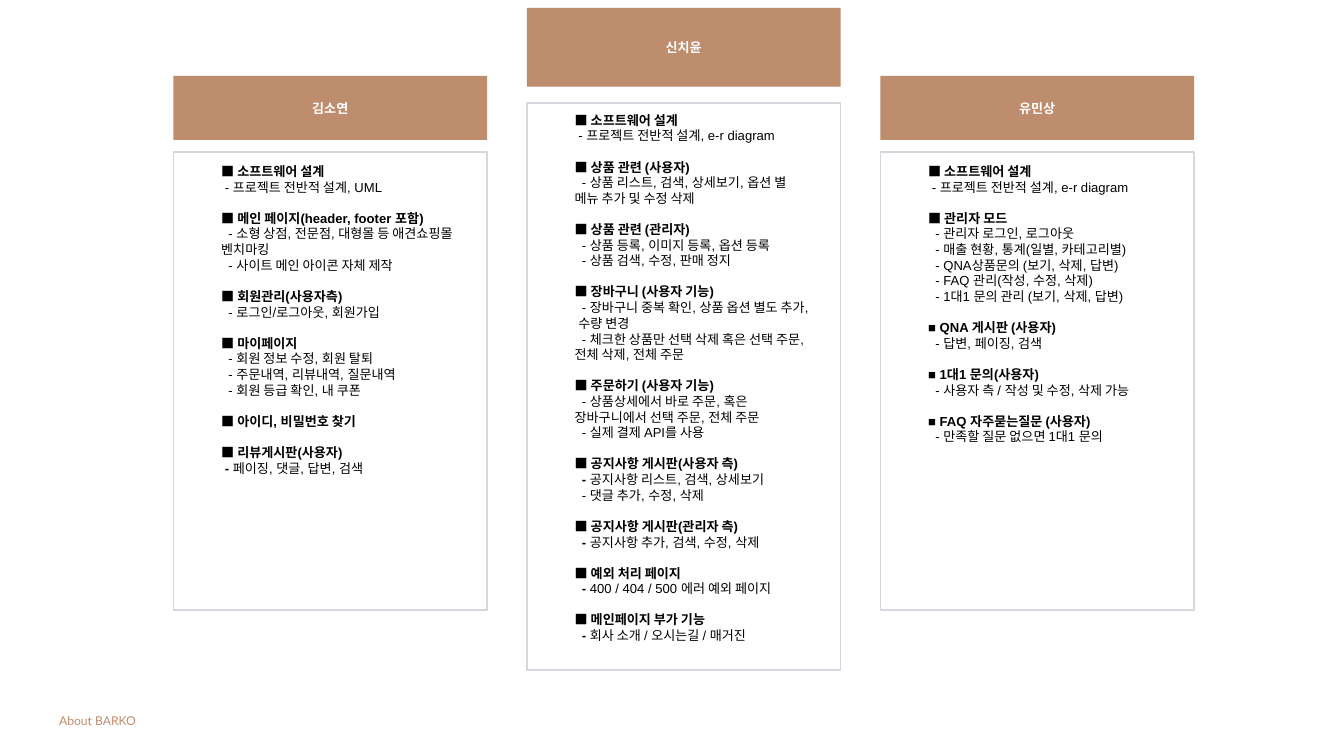
from dataclasses import dataclass

from lxml.etree import SubElement
from pptx import Presentation
from pptx.dml.color import RGBColor
from pptx.enum.shapes import MSO_SHAPE
from pptx.enum.text import MSO_ANCHOR, MSO_AUTO_SIZE, PP_ALIGN
from pptx.oxml.ns import qn
from pptx.util import Pt

BROWN = RGBColor(0xBE, 0x8D, 0x6E)
GREY = RGBColor(0xD6, 0xD7, 0xDE)
WHITE = RGBColor(0xFF, 0xFF, 0xFF)
BLACK = RGBColor(0, 0, 0)

# Column grid, in points
LEFT, STEP, WIDTH = 185.8, 378.7, 336.2
TEXT_INSET, TEXT_WIDTH = 44, 263.5
SECTION_GAP = 16.5
NARROW, WIDE = 3.9, 7.8  # first-line indents

NAME_FONT = {"name": "Calibri", "size": Pt(14), "bold": True}
LIST_FONT = {"name": "Arial", "size": Pt(14)}
LABEL_FONT = {"name": "Lato", "size": Pt(13), "bold": False}


@dataclass
class Section:
    heading: str
    items: tuple[str, ...] = ()
    indent: float = WIDE
    bold_dash: bool = False  # the first dash is as heavy as the heading


@dataclass
class Frame:
    name_top: float
    name_height: float
    box_top: float
    box_height: float
    text_top: float


@dataclass
class Member:
    name: str
    frame: Frame
    text_height: float
    sections: tuple[Section, ...]


SIDE = Frame(81.4, 68.4, 162.7, 491, 171.4)
CENTRE = Frame(8.6, 84.2, 110.2, 607.7, 116.6)

MEMBERS = (
    Member("김소연", SIDE, 346.3, (
        Section("소프트웨어 설계", ("프로젝트 전반적 설계, UML",), NARROW),
        Section("메인 페이지(header, footer 포함)", (
            "소형 상점, 전문점, 대형몰 등 애견쇼핑몰 벤치마킹",
            "사이트 메인 아이콘 자체 제작")),
        Section("회원관리(사용자측)", ("로그인/로그아웃, 회원가입",)),
        Section("마이페이지", (
            "회원 정보 수정, 회원 탈퇴",
            "주문내역, 리뷰내역, 질문내역",
            "회원 등급 확인, 내 쿠폰")),
        Section("아이디, 비밀번호 찾기"),
        Section("리뷰게시판(사용자)", ("페이징, 댓글, 답변, 검색",), NARROW, True),
    )),
    Member("신치윤", CENTRE, 617.8, (
        Section("소프트웨어 설계", ("프로젝트 전반적 설계, e-r diagram",), NARROW),
        Section("상품 관련 (사용자)", (
            "상품 리스트, 검색, 상세보기, 옵션 별 메뉴 추가 및 수정 삭제",)),
        Section("상품 관련 (관리자)", (
            "상품 등록, 이미지 등록, 옵션 등록",
            "상품 검색, 수정, 판매 정지")),
        Section("장바구니 (사용자 기능)", (
            "장바구니 중복 확인, 상품 옵션 별도 추가, 수량 변경",
            "체크한 상품만 선택 삭제 혹은 선택 주문, 전체 삭제, 전체 주문")),
        Section("주문하기 (사용자 기능)", (
            "상품상세에서 바로 주문, 혹은 장바구니에서 선택 주문, 전체 주문",
            "실제 결제 API를 사용")),
        Section("공지사항 게시판(사용자 측)", (
            "공지사항 리스트, 검색, 상세보기",
            "댓글 추가, 수정, 삭제"), bold_dash=True),
        Section("공지사항 게시판(관리자 측)", (
            "공지사항 추가, 검색, 수정, 삭제",), bold_dash=True),
        Section("예외 처리 페이지", (
            "400 / 404 / 500 에러 예외 페이지",), bold_dash=True),
        Section("메인페이지 부가 기능", (
            "회사 소개 / 오시는길 / 매거진",), bold_dash=True),
    )),
    Member("유민상", SIDE, 312.5, (
        Section("소프트웨어 설계", ("프로젝트 전반적 설계, e-r diagram",), NARROW),
        Section("관리자 모드", (
            "관리자 로그인, 로그아웃",
            "매출 현황, 통계(일별, 카테고리별)",
            "QNA상품문의 (보기, 삭제, 답변)",
            "FAQ 관리(작성, 수정, 삭제)",
            "1대1 문의 관리 (보기, 삭제, 답변)")),
        Section("QNA 게시판 (사용자)", ("답변, 페이징, 검색",)),
        Section("1대1 문의(사용자)", ("사용자 측 / 작성 및 수정, 삭제 가능",)),
        Section("FAQ 자주묻는질문 (사용자)", ("만족할 질문 없으면 1대1 문의",)),
    )),
)


def add_run(p, text: str, color: RGBColor, font: dict) -> None:
    r = p.add_run()
    r.text = text
    for key, value in font.items():
        setattr(r.font, key, value)
    r.font.color.rgb = color


def place(s, left: float, top: float, width: float, height: float):
    """Move a placeholder and return its text frame, set to plain top text."""
    box = {"left": left, "top": top, "width": width, "height": height}
    for key, value in box.items():
        setattr(s, key, Pt(value))
    tf = s.text_frame
    settings = {"word_wrap": True, "auto_size": MSO_AUTO_SIZE.NONE,
                "vertical_anchor": MSO_ANCHOR.TOP}
    for key, value in settings.items():
        setattr(tf, key, value)
    return tf


def add_rect(slide, left: float, top: float, height: float):
    s = slide.shapes.add_shape(
        MSO_SHAPE.RECTANGLE, Pt(left), Pt(top), Pt(WIDTH), Pt(height))
    s.shadow.inherit = False
    return s


def format_line(p, indent: float, gap: float) -> None:
    pPr = p._p.get_or_add_pPr()
    pPr.set("marL", "0")
    pPr.set("indent", str(Pt(indent)))
    SubElement(pPr, qn("a:buNone"))
    p.space_before, p.space_after = Pt(gap), Pt(0)
    p.alignment = PP_ALIGN.LEFT


def fill_list(tf, sections: tuple[Section, ...]) -> None:
    for i, section in enumerate(sections):
        p = tf.add_paragraph() if i else tf.paragraphs[0]
        format_line(p, 0, SECTION_GAP if i else 0)
        add_run(p, f"■ {section.heading}", BLACK, {**LIST_FONT, "bold": True})
        for j, item in enumerate(section.items):
            p = tf.add_paragraph()
            format_line(p, section.indent, 0)
            if section.bold_dash and j == 0:
                add_run(p, "- ", BLACK, {**LIST_FONT, "bold": True})
            else:
                item = f"- {item}"
            add_run(p, item, BLACK, {**LIST_FONT, "bold": False})


def draw_member(slide, member: Member, left: float, body) -> None:
    frame = member.frame
    # Name bar
    s = add_rect(slide, left, frame.name_top, frame.name_height)
    s.fill.solid()
    s.fill.fore_color.rgb = BROWN
    s.line.fill.background()
    tf = s.text_frame
    tf.vertical_anchor = MSO_ANCHOR.MIDDLE
    p = tf.paragraphs[0]
    p.alignment = PP_ALIGN.CENTER
    add_run(p, member.name, WHITE, NAME_FONT)
    # Outlined box
    s = add_rect(slide, left, frame.box_top, frame.box_height)
    s.fill.background()
    s.line.color.rgb = GREY
    s.line.width = Pt(1.5)
    # Task list
    tf = place(body, left + TEXT_INSET, frame.text_top, TEXT_WIDTH, member.text_height)
    fill_list(tf, member.sections)


def main() -> None:
    prs = Presentation()
    prs.slide_width, prs.slide_height = Pt(1440), Pt(810)
    slide = prs.slides.add_slide(prs.slide_layouts[4])
    title, *bodies = slide.placeholders

    # Columns
    for i, (member, body) in enumerate(zip(MEMBERS, bodies)):
        draw_member(slide, member, LEFT + i * STEP, body)

    # Slide label
    tf = place(title, 56.2, 761, 285.8, 23)
    p = tf.paragraphs[0]
    p.alignment = PP_ALIGN.LEFT
    add_run(p, "About BARKO", BROWN, LABEL_FONT)

    # Unused placeholders
    for s in bodies[len(MEMBERS):]:
        s.element.getparent().remove(s.element)

    prs.save("out.pptx")


if __name__ == "__main__":
    main()
